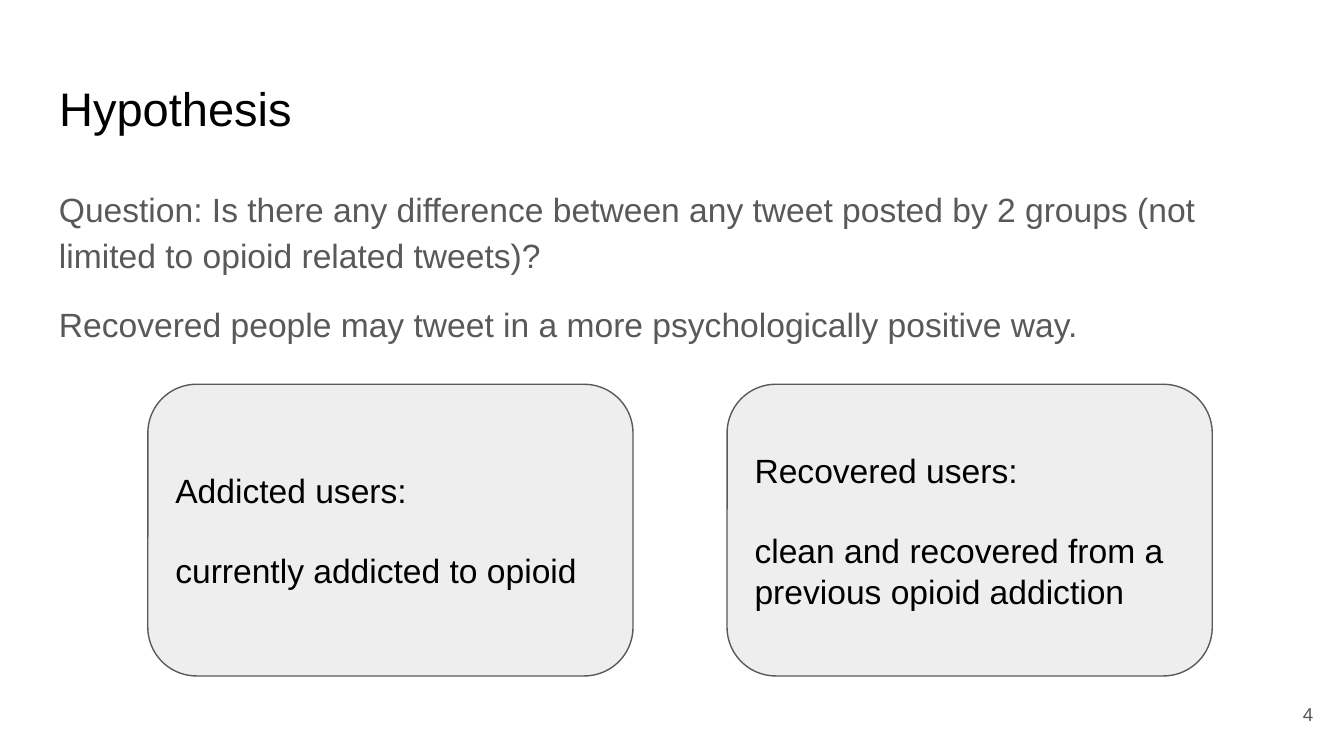
from pptx import Presentation
from pptx.dml.color import RGBColor
from pptx.enum.shapes import MSO_SHAPE as Shape
from pptx.enum.text import MSO_ANCHOR as Anchor, MSO_AUTO_SIZE as AutoSize, PP_ALIGN as Align
from pptx.util import Inches, Pt

BLACK, GRAY, PALE = "000000", "595959", "EEEEEE"


def rgb(hex_code):
    return RGBColor.from_string(hex_code)


def write(holder, *lines, size=18, color=BLACK, align=Align.LEFT,
          anchor=Anchor.TOP, spacing=1.0, before=0, after=0):
    """Fill a text frame; before and after apply to every paragraph but the first."""
    frame = holder.text_frame
    frame.word_wrap = True
    frame.auto_size = AutoSize.NONE
    frame.vertical_anchor = anchor
    frame.margin_left = frame.margin_right = Inches(0.1)
    frame.margin_top = frame.margin_bottom = Inches(0.1)
    for i, line in enumerate(lines):
        paragraph = frame.add_paragraph() if i else frame.paragraphs[0]
        paragraph.alignment = align
        paragraph.line_spacing = spacing
        paragraph.space_before = Pt(before if i else 0)
        paragraph.space_after = Pt(after if i else 0)
        run = paragraph.add_run()
        run.text = line
        run.font.name = "Arial"
        run.font.size = Pt(size)
        run.font.color.rgb = rgb(color)


# Widescreen 16:9 slide
prs = Presentation()
prs.slide_width = Inches(10)
prs.slide_height = Inches(10 * 9 / 16)
slide = prs.slides.add_slide(prs.slide_layouts[5])

# Title
title = slide.shapes.title
title.left, title.top = Inches(0.34), Inches(0.49)
title.width, title.height = Inches(9.32), Inches(0.63)
write(title, "Hypothesis", size=25.2)

# Question and hypothesis
question = slide.shapes.add_textbox(Inches(0.34), Inches(1.26), Inches(9.32), Inches(3.74))
write(question,
      "Question: Is there any difference between any tweet posted by 2 groups "
      "(not limited to opioid related tweets)?",
      "Recovered people may tweet in a more psychologically positive way.",
      color=GRAY, spacing=1.15, before=12, after=12)

# The two user groups, with a one-line gap under each heading
groups = [
    ("Addicted users:", "currently addicted to opioid"),
    ("Recovered users:", "clean and recovered from a previous opioid addiction"),
]
for i, (heading, description) in enumerate(groups):
    card = slide.shapes.add_shape(Shape.ROUNDED_RECTANGLE, Inches(1.1 + 4.31 * i),
                                  Inches(2.86), Inches(3.61), Inches(2.17))
    card.shadow.inherit = False
    card.adjustments[0] = 0.167
    card.fill.solid()
    card.fill.fore_color.rgb = rgb(PALE)
    card.line.color.rgb = rgb(GRAY)
    card.line.width = Pt(0.75)
    write(card, heading, description, anchor=Anchor.MIDDLE, before=21.6)

# Page number
page_number = slide.shapes.add_textbox(Inches(9.27), Inches(5.1), Inches(0.6), Inches(0.43))
write(page_number, "4", size=10, color=GRAY, align=Align.RIGHT, anchor=Anchor.MIDDLE)

prs.save("out.pptx")
